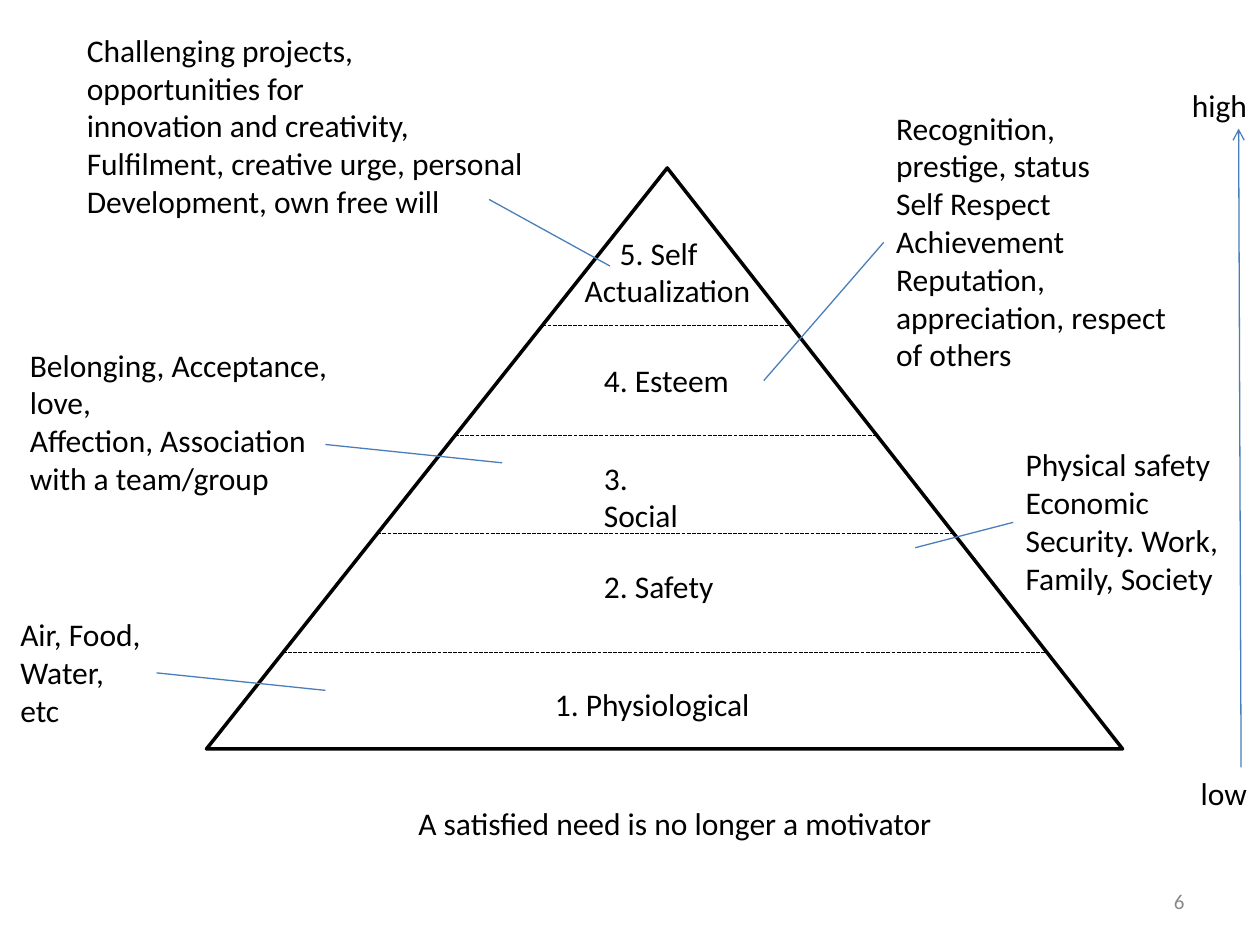
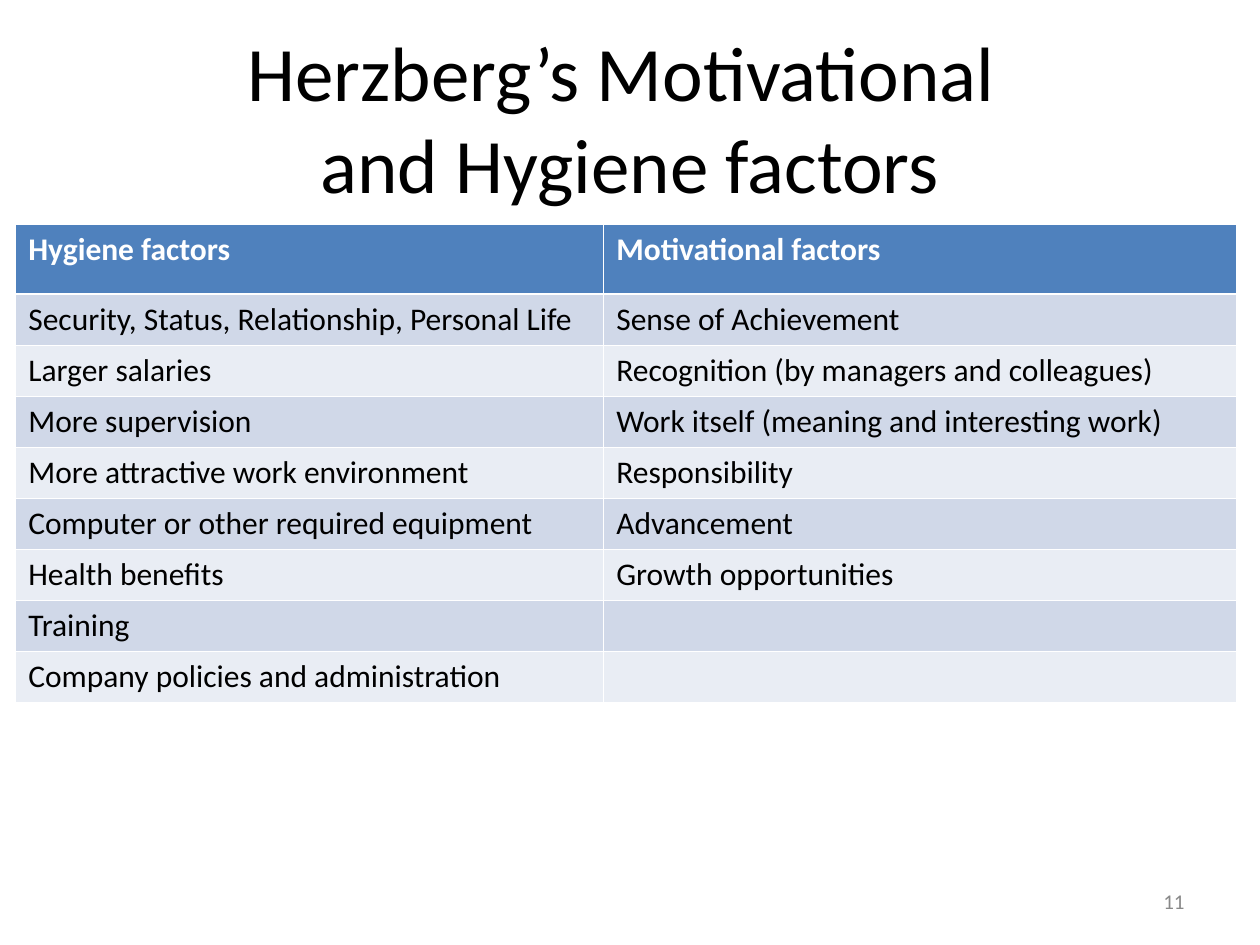
"""Build two slides on needs and motivation: a pyramid and a table."""
from lxml import etree
from pptx import Presentation
from pptx.dml.color import RGBColor
from pptx.enum.dml import MSO_LINE
from pptx.enum.shapes import MSO_CONNECTOR, MSO_SHAPE
from pptx.enum.text import MSO_ANCHOR, PP_ALIGN
from pptx.oxml.ns import qn
from pptx.util import Pt

DASH = MSO_LINE.SQUARE_DOT
STRAIGHT = MSO_CONNECTOR.STRAIGHT
PEAK = MSO_SHAPE.ISOSCELES_TRIANGLE
TOP, MIDDLE = MSO_ANCHOR.TOP, MSO_ANCHOR.MIDDLE
LEFT, RIGHT, MID = PP_ALIGN.LEFT, PP_ALIGN.RIGHT, PP_ALIGN.CENTER
FONT = "Calibri"
COLORS = {
    "ink": "000000", "gray": "898989", "line": "4A7EBB", "white": "FFFFFF",
    "head": "4F81BD", "dark": "D0D8E8", "light": "E9EDF4",
}
APEX = 0.503
LEVELS = [179, 242, 298, 366]
LABELS = [
    ("1. Physiological", 192, 292, 126),
    ("2. Safety", 220, 224.5, 78),
    ("3. Social", 220, 162.5, 74),
    ("4. Esteem", 220, 106.5, 86),
]
NOTES = [
    ((42.5, 14, 265, 115), False, (237, 100, 306, 138),
     ["Challenging projects,", "opportunities for", "innovation and creativity,",
      "Fulfilment, creative urge, personal", "Development, own free will"]),
    ((10, 194, 191, 94), True, (176, 60, 277, 70.5),
     ["Belonging, Acceptance, love,", "Affection, Association",
      "with a team/group"]),
    ((4.5, 348, 85, 72), False, (85, 36.5, 181.5, 46.5),
     ["Air, Food,", "Water,", "etc"]),
    ((505, 58.5, 175.5, 158), True, (0, 80, -68.5, 159),
     ["Recognition,", "prestige, status", "Self Respect Achievement",
      "Reputation, appreciation, respect of others"]),
    ((579, 251, 130, 94), False, (0, 47.5, -56, 62),
     ["Physical safety", "Economic", "Security. Work,", "Family, Society"]),
]
ROWS = [
    ("Hygiene factors", "Motivational factors"),
    ("Security, Status, Relationship, Personal Life", "Sense of Achievement"),
    ("Larger salaries", "Recognition (by managers and colleagues)"),
    ("More supervision", "Work itself (meaning and interesting work)"),
    ("More attractive work environment", "Responsibility"),
    ("Computer or other required equipment", "Advancement"),
    ("Health benefits", "Growth opportunities"),
    ("Training", ""),
    ("Company policies and administration", ""),
]


def tint(name):
    """Return the named colour."""
    return RGBColor.from_string(COLORS[name])


def style(font, size=18, color="ink", bold=False):
    """Set the face, size, colour and weight of a font."""
    font.name, font.size, font.bold = FONT, Pt(size), bold
    font.color.rgb = tint(color)


def write(slide, box, lines, size=18, color="ink", align=LEFT, anchor=TOP, wrap=False):
    """Add a text box with one paragraph per line and return its frame."""
    frame = slide.shapes.add_textbox(*map(Pt, box)).text_frame
    frame.word_wrap, frame.vertical_anchor = wrap, anchor
    for i, line in enumerate(lines):
        para = frame.paragraphs[0] if i == 0 else frame.add_paragraph()
        para.alignment = align
        run = para.add_run()
        run.text = line
        style(run.font, size, color)
    return frame


def rule(slide, ends, color="line", dash=None, arrow=False):
    """Draw a thin straight line, dashed or with an arrowhead if asked."""
    link = slide.shapes.add_connector(STRAIGHT, *map(Pt, ends))
    link.line.width = Pt(0.75)
    link.line.color.rgb = tint(color)
    if dash:
        link.line.dash_style = dash
    if arrow:
        tip = etree.SubElement(link.line._get_or_add_ln(), qn("a:tailEnd"))
        tip.set("type", "arrow")
    etree.SubElement(link._element.spPr, qn("a:effectLst"))


def footer(slide, number):
    """Add the page number at the lower right."""
    write(slide, (516, 500.5, 168, 29), [str(number)], 12, "gray", RIGHT, MIDDLE, True)


def pyramid(slide, box):
    """Draw the triangle, its level lines and its labels."""
    x, y, w, h = box
    shape = slide.shapes.add_shape(PEAK, *map(Pt, box))
    shape.adjustments[0] = APEX
    shape.shadow.inherit = False
    shape.fill.background()
    shape.line.color.rgb = tint("ink")
    shape.line.width = Pt(2)
    for row in LEVELS:
        at = y + row - 89
        part = (at - y) / h
        start = x + w * APEX * (1 - part)
        rule(slide, (start, at, start + w * part, at), "ink", DASH)
    for text, left, top, width in LABELS:
        write(slide, (x + left, y + top, width, 29), [text])
    frame = write(slide, (x + 209, y + 34, 116, 50), ["5. Self", "Actualization"],
                  wrap=True)
    frame.paragraphs[0]._p.get_or_add_pPr().set("marL", str(Pt(20)))


def note(slide, box, wrap, lead, lines):
    """Write a note and the line that leads from it to its level."""
    x, y = box[:2]
    write(slide, box, lines, wrap=wrap)
    rule(slide, (x + lead[0], y + lead[1], x + lead[2], y + lead[3]))


def scale(slide, box):
    """Draw the upward arrow with its end labels."""
    x, y, w, h = box
    rule(slide, (x + w - 10.8, y + h - 29, x + w - 12.2, y + 28), arrow=True)
    write(slide, (x, y, w, 29), ["high"])
    write(slide, (x + 5, y + h - 29, w - 5, 29), ["low"])


def needs(slide):
    """Build the pyramid slide."""
    pyramid(slide, (118, 96, 523.5, 332))
    scale(slide, (674, 45.5, 46, 422))
    for item in NOTES:
        note(slide, *item)
    write(slide, (232, 456, 309, 29), ["A satisfied need is no longer a motivator"])
    footer(slide, 6)


def edge(cell, row):
    """Give a cell white borders, heavier under the header."""
    props = cell._tc.get_or_add_tcPr()
    for side in "LRTB":
        thick = (row, side) in ((0, "B"), (1, "T"))
        line = etree.SubElement(props, qn("a:ln" + side))
        line.set("w", str(Pt(1.47 if thick else 0.45)))
        fill = etree.SubElement(line, qn("a:solidFill"))
        etree.SubElement(fill, qn("a:srgbClr")).set("val", COLORS["white"])


def table(slide, box):
    """Add the two-column table of factors."""
    grid = slide.shapes.add_table(len(ROWS), 2, *map(Pt, box)).table
    first = 336
    for col, width in zip(grid.columns, (first, box[2] - first)):
        col.width = Pt(width)
    head = 39.8
    for r, texts in enumerate(ROWS):
        grid.rows[r].height = Pt(head if r == 0 else (box[3] - head) / (len(ROWS) - 1))
        for c, text in enumerate(texts):
            cell = grid.cell(r, c)
            edge(cell, r)
            cell.fill.solid()
            cell.fill.fore_color.rgb = tint("head" if r == 0 else ("light", "dark")[r % 2])
            para = cell.text_frame.paragraphs[0]
            if text:
                run = para.add_run()
                run.text = text
                style(run.font, color="ink" if r else "white", bold=r == 0)


def factors(slide):
    """Build the table slide."""
    frame = write(slide, (36, 21.6, 648, 90), ["Herzberg’s Motivational "], 44,
                  align=MID, anchor=MIDDLE, wrap=True)
    para = frame.paragraphs[0]
    para.add_line_break()
    run = para.add_run()
    run.text = "and Hygiene factors"
    style(run.font, 44)
    table(slide, (9, 128.2, 697.5, 273.5))
    footer(slide, 11)


def main():
    """Build and save the deck."""
    deck = Presentation()
    deck.slide_width, deck.slide_height = Pt(720), Pt(540)
    for build in (needs, factors):
        build(deck.slides.add_slide(deck.slide_layouts[6]))
    deck.save("out.pptx")


if __name__ == "__main__":
    main()
